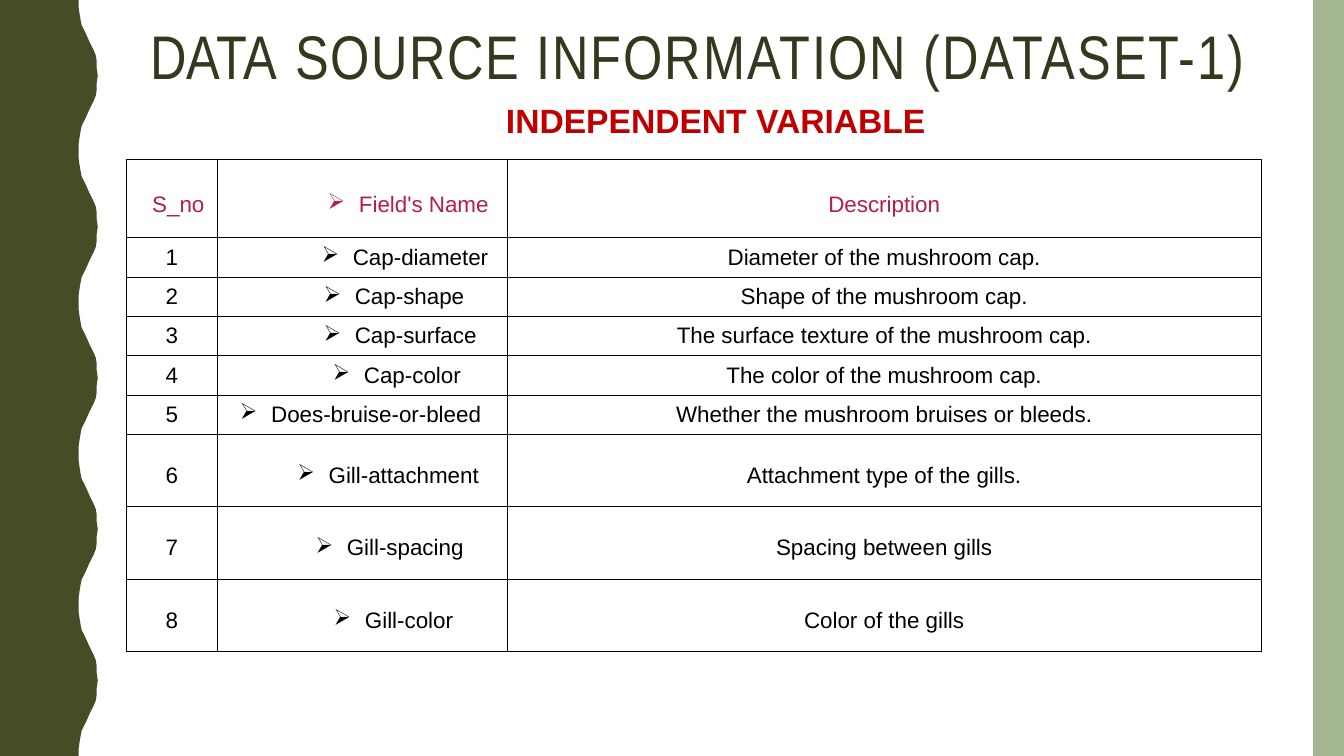
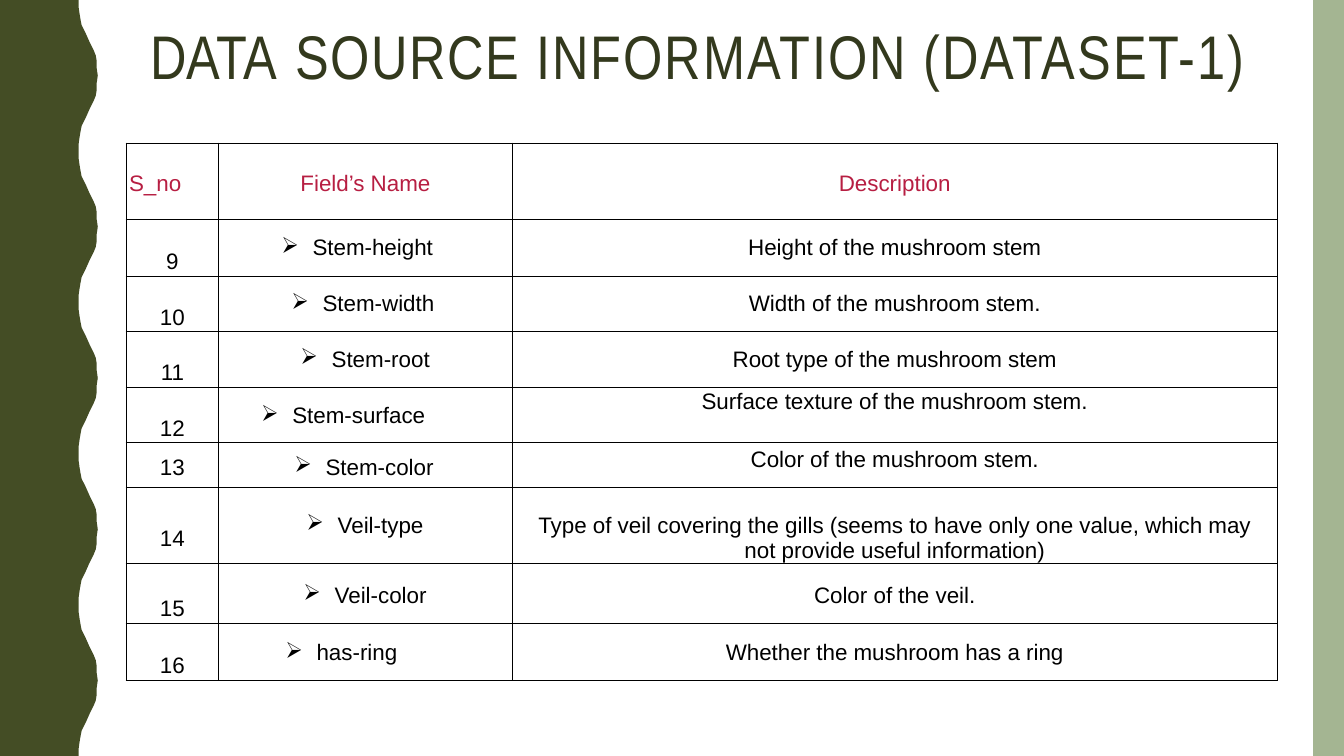
from lxml import etree
from pptx import Presentation
from pptx.dml.color import RGBColor
from pptx.enum.text import MSO_ANCHOR, PP_ALIGN
from pptx.oxml.ns import qn
from pptx.util import Inches, Pt

LEFT, CENTER = PP_ALIGN.LEFT, PP_ALIGN.CENTER
TOP, MIDDLE, BOTTOM = MSO_ANCHOR.TOP, MSO_ANCHOR.MIDDLE, MSO_ANCHOR.BOTTOM
TITLE_ONLY = 5

WIDTH, HEIGHT = 13.33, 7.5
WAVE_PERIOD = 1.5
HALF_WAVE = [(0.78, 0), (0.78, 0.07), (0.79, 0.14), (0.8, 0.2), (0.81, 0.25),
             (0.83, 0.29), (0.85, 0.33), (0.89, 0.42), (0.91, 0.46), (0.93, 0.5),
             (0.95, 0.55), (0.96, 0.61), (0.96, 0.68), (0.97, 0.75)]
TITLE_RUNS = [("DATA\t", -0.2), ("SOURCE ", 1.1), ("INFORMATION (DATASET-1)", 1.4)]

# Row: serial, field, field indent (None centres it without a bullet), description
FIRST_ROWS = [
    ("S_no", "Field's Name", 1.4, "Description"),
    ("1", "Cap-diameter", 1.34, "Diameter of the mushroom cap."),
    ("2", "Cap-shape", 1.36, "Shape of the mushroom cap."),
    ("3", "Cap-surface", 1.36, "The surface texture of the mushroom cap."),
    ("4", "Cap-color", 1.45, "The color of the mushroom cap."),
    ("5", "Does-bruise-or-bleed", 0.53, "Whether the mushroom bruises or bleeds."),
    ("6", "Gill-attachment", 1.1, "Attachment type of the gills."),
    ("7", "Gill-spacing", 1.28, "Spacing between gills"),
    ("8", "Gill-color", 1.46, "Color of the gills"),
]
SECOND_ROWS = [
    ("S_no", "Field’s Name", None, "Description"),
    ("9", "Stem-height", 0.93, "Height of the mushroom stem"),
    ("10", "Stem-width", 1.03, "Width of the mushroom stem."),
    ("11", "Stem-root", 1.12, "Root type of the mushroom stem"),
    ("12", "Stem-surface", 0.73, "Surface texture of the mushroom stem."),
    ("13", "Stem-color", 1.06, "Color of the mushroom stem."),
    ("14", "Veil-type", 1.18, "Type of veil covering the gills (seems to have only one value, "
     "which may not provide useful information)"),
    ("15", "Veil-color", 1.15, "Color of the veil."),
    ("16", "has-ring", 0.97, "Whether the mushroom has a ring"),
]

# Layout: row height, then the top margins of the three cells, then the description anchor
HEADER_TALL = (0.78, 0.12, 0.12, 0.12, MIDDLE)
SHORT = (0.39, 0, 0, 0, MIDDLE)
TALL = (0.72, 0.1, 0.1, 0.1, MIDDLE)
FIRST_LAYOUT = [HEADER_TALL] + [SHORT] * 5 + [TALL] * 3

HEADER_LOW = (0.76, 0.05, 0.05, 0.05, MIDDLE)
LOW_SERIAL = (0.55, 0.27, 0, 0, MIDDLE)
SECOND_LAYOUT = [
    HEADER_LOW, (0.56, 0.27, 0, 0, MIDDLE), LOW_SERIAL, LOW_SERIAL,
    (0.55, 0.27, 0.02, 0.02, TOP), (0.45, 0.05, 0.05, 0.05, TOP),
    (0.75, 0.27, 0, 0.02, BOTTOM), (0.6, 0.3, 0.04, 0.04, MIDDLE),
    (0.56, 0.27, 0.02, 0.02, MIDDLE)]


def rgb(color):
    return RGBColor.from_string(color)


class Deck:
    COLORS = {"wave": "444D25", "band": "A4B592", "title": "33391D", "subtitle": "C00000",
              "header": "B71E42", "text": "000000"}
    FONTS = {"title": {"name": "Arial Narrow", "size": Pt(44)},
             "subtitle": {"name": "Arial", "size": Pt(24), "bold": True},
             "header": {"name": "Arial", "size": Pt(16)},
             "text": {"name": "Arial", "size": Pt(16)}}

    def __init__(self):
        self.prs = Presentation()
        self.prs.slide_width, self.prs.slide_height = Inches(WIDTH), Inches(HEIGHT)
        self.slide = None

    def new_slide(self):
        self.slide = self.prs.slides.add_slide(self.prs.slide_layouts[TITLE_ONLY])
        period = HALF_WAVE + [(x, WAVE_PERIOD - y) for x, y in HALF_WAVE[-2:0:-1]]
        edge = [(x, y + cycle * WAVE_PERIOD)
                for cycle in range(int(HEIGHT / WAVE_PERIOD)) for x, y in period]
        self.outline([(0, 0)] + edge + [(HALF_WAVE[0][0], HEIGHT), (0, HEIGHT)], "wave")
        self.outline([(13.02, 0), (WIDTH, 0), (WIDTH, HEIGHT), (13.02, HEIGHT)], "band")
        self.title()

    def outline(self, points, role):
        start, *rest = [(Inches(x), Inches(y)) for x, y in points]
        builder = self.slide.shapes.build_freeform(*start)
        builder.add_line_segments(rest, close=True)
        shape = builder.convert_to_shape()
        shape.shadow.inherit = False
        shape.fill.solid()
        shape.fill.fore_color.rgb = rgb(self.COLORS[role])
        shape.line.fill.background()

    def run(self, paragraph, text, role, spacing=0):
        """Add styled text; spacing is the letter spacing in points."""
        run = paragraph.add_run()
        run.text = text
        for attribute, value in self.FONTS[role].items():
            setattr(run.font, attribute, value)
        run.font.color.rgb = rgb(self.COLORS[role])
        if spacing:
            run.font._element.set("spc", str(round(spacing * 100)))

    def title(self):
        title = self.slide.shapes.title
        title.left, title.top = Inches(1.49), Inches(0.17)
        title.width, title.height = Inches(11.01), Inches(0.75)
        frame = title.text_frame
        margins = {"margin_left": 0, "margin_top": Inches(0.01), "margin_right": 0,
                   "margin_bottom": 0, "vertical_anchor": TOP, "word_wrap": True}
        for attribute, value in margins.items():
            setattr(frame, attribute, value)
        paragraph = frame.paragraphs[0]
        paragraph.alignment = LEFT
        tabs = etree.SubElement(paragraph._p.get_or_add_pPr(), qn("a:tabLst"))
        etree.SubElement(tabs, qn("a:tab"), pos=str(Inches(1.44)), algn="l")
        for text, spacing in TITLE_RUNS:
            self.run(paragraph, text, "title", spacing)

    def subtitle(self, text):
        box = self.slide.shapes.add_textbox(Inches(4.92), Inches(0.94), Inches(6.58), Inches(0.5))
        box.text_frame.word_wrap = True
        self.run(box.text_frame.paragraphs[0], text, "subtitle")

    def borders(self, cell):
        properties = cell._tc.get_or_add_tcPr()
        for position, side in enumerate(("lnL", "lnR", "lnT", "lnB")):
            line = etree.Element(qn("a:" + side), w=str(Pt(0.75)))
            fill = etree.SubElement(line, qn("a:solidFill"))
            etree.SubElement(fill, qn("a:srgbClr"), val=self.COLORS["text"])
            properties.insert(position, line)

    def cell(self, cell, text, role, top, anchor=MIDDLE, side=0, indent=None, bullet=False):
        """Fill a table cell; an indent aligns it left, otherwise it is centred."""
        formats = {"margin_left": Inches(side), "margin_right": Inches(side),
                   "margin_top": Inches(top), "margin_bottom": 0, "vertical_anchor": anchor}
        for attribute, value in formats.items():
            setattr(cell, attribute, value)
        cell.fill.background()
        self.borders(cell)
        paragraph = cell.text_frame.paragraphs[0]
        paragraph.alignment = CENTER if indent is None else LEFT
        properties = paragraph._p.get_or_add_pPr()
        if indent is not None:
            properties.set("marL", str(Inches(indent)))
        if bullet:
            properties.set("indent", str(Inches(-0.31)))
            etree.SubElement(properties, qn("a:buChar"), char="➢")
        self.run(paragraph, text, role)

    def variables(self, top, widths, rows, layout, serial_indent):
        """Add the table of variables; serial_indent places the first heading."""
        heights = [row[0] for row in layout]
        table = self.slide.shapes.add_table(
            len(rows), len(widths), Inches(1.25), Inches(top),
            Inches(sum(widths)), Inches(sum(heights))).table
        table.first_row = table.horz_banding = False
        for column, width in zip(table.columns, widths):
            column.width = Inches(width)
        for index, (content, spacing) in enumerate(zip(rows, layout)):
            serial, field, indent, description = content
            height, serial_top, field_top, description_top, anchor = spacing
            table.rows[index].height = Inches(height)
            role = "text" if index else "header"
            self.cell(table.cell(index, 0), serial, role, serial_top,
                      indent=None if index else serial_indent)
            self.cell(table.cell(index, 1), field, role, field_top,
                      indent=indent, bullet=indent is not None)
            self.cell(table.cell(index, 2), description, role, description_top, anchor, side=0.2)


def main():
    deck = Deck()
    deck.new_slide()
    deck.variables(1.58, [0.91, 2.87, 7.48], FIRST_ROWS, FIRST_LAYOUT, 0.26)
    deck.subtitle("INDEPENDENT VARIABLE")
    deck.new_slide()
    deck.variables(1.42, [0.92, 2.91, 7.59], SECOND_ROWS, SECOND_LAYOUT, 0.03)
    deck.prs.save("out.pptx")


if __name__ == "__main__":
    main()
